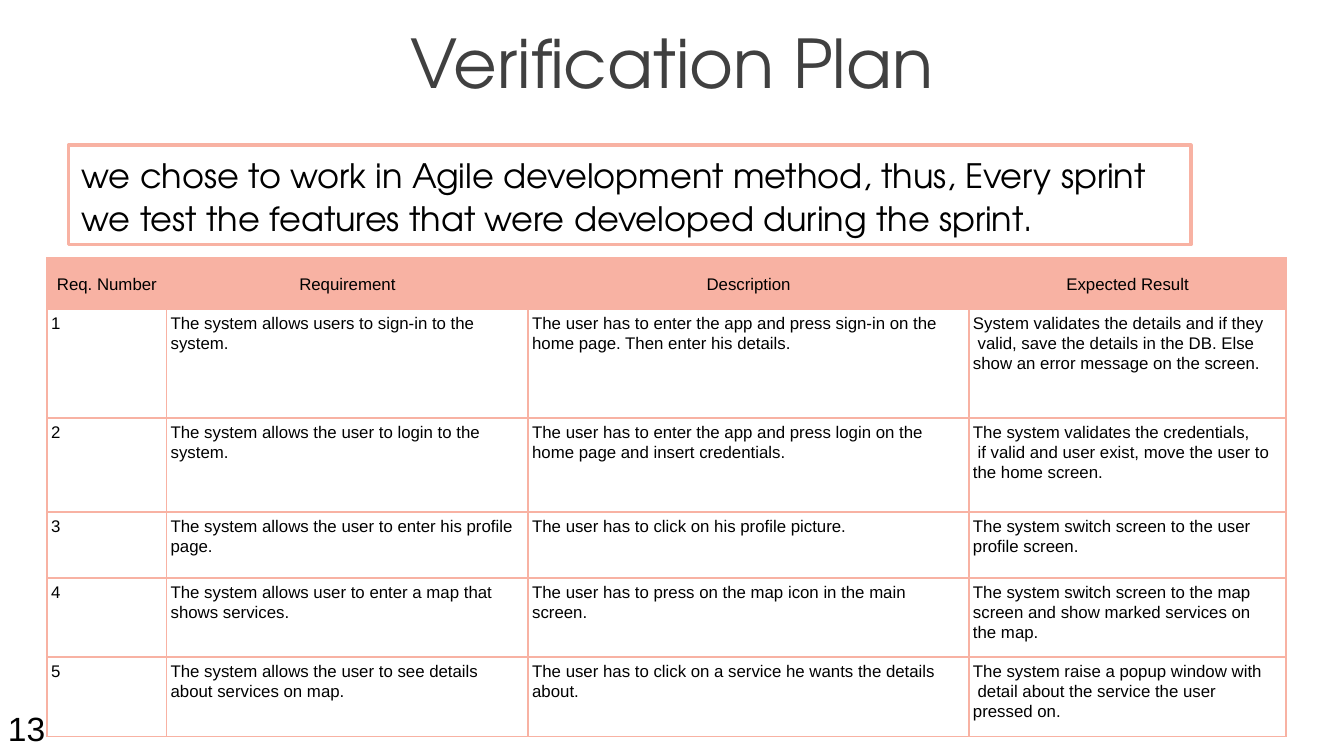
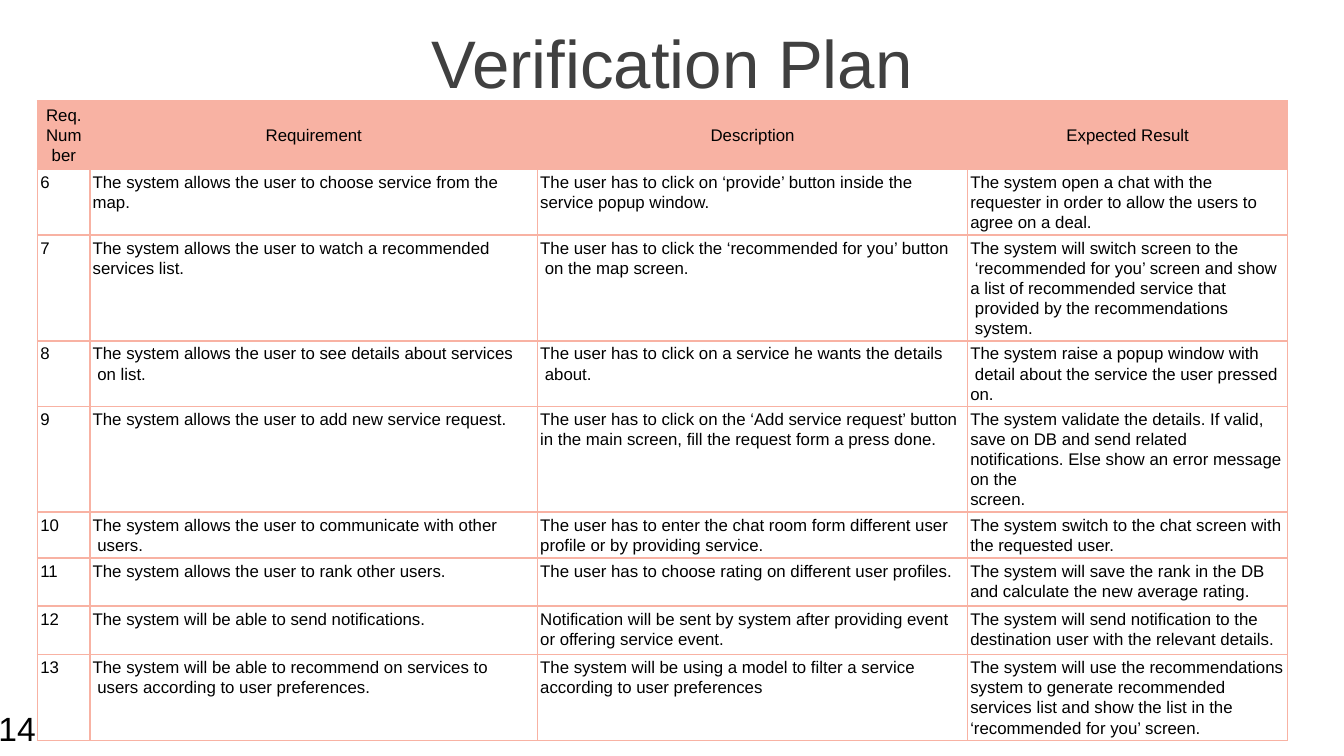
from dataclasses import dataclass
from typing import NamedTuple

from lxml.etree import SubElement
from pptx import Presentation
from pptx.dml.color import RGBColor
from pptx.enum.shapes import MSO_SHAPE
from pptx.enum.text import MSO_ANCHOR, MSO_AUTO_SIZE, PP_ALIGN
from pptx.oxml.ns import qn
from pptx.util import Emu, Pt

SCALE = 9144  # EMU per px, 100 px to the inch
ARIAL, GYRE = "Arial", "TeX Gyre Adventor"
COLORS = {"coral": "F8B2A3", "white": "FFFFFF", "black": "000000", "title": "404040"}
HEADS = ("Req. Number", "Requirement", "Description", "Expected Result")


class Box(NamedTuple):
    left: int
    top: int
    width: int
    height: int


class Font(NamedTuple):
    name: str
    size: int
    color: str = "black"


class Req(NamedTuple):
    need: str
    action: str
    result: str


@dataclass(frozen=True)
class Grid:
    left: int
    top: int
    cols: tuple[int, ...]
    rows: tuple[int, ...]
    inset: int
    first: int
    reqs: tuple[Req, ...]


@dataclass(frozen=True)
class Page:
    number: str
    left: int
    font: str
    grid: Grid
    note: str = ""


CELL = Font(ARIAL, 9)
TITLE = Box(0, 14, 1000, 63)
NOTE = Box(51, 108, 835, 74)

PAGES = (
    Page(
        "13", -4, GYRE,
        Grid(35, 192, (89, 269, 328, 236), (38, 81, 70, 49, 59, 59), 3, 1, (
            Req("The system allows users to sign-in to the\nsystem.",
                "The user has to enter the app and press sign-in on the\n"
                "home page. Then enter his details.",
                "System validates the details and if they\n valid, save the details "
                "in the DB. Else show an error message on the screen."),
            Req("The system allows the user to login to the\nsystem.",
                "The user has to enter the app and press login on the\n"
                "home page and insert credentials.",
                "The system validates the credentials,\n if valid and user exist, "
                "move the user to\nthe home screen."),
            Req("The system allows the user to enter his profile page.",
                "The user has to click on his profile picture.",
                "The system switch screen to the user\nprofile screen."),
            Req("The system allows user to enter a map that\nshows services.",
                "The user has to press on the map icon in the main\nscreen.",
                "The system switch screen to the map\nscreen and show marked "
                "services on\nthe map."),
            Req("The system allows the user to see details\nabout services on map.",
                "The user has to click on a service he wants the details\nabout.",
                "The system raise a popup window with\n detail about the service "
                "the user\npressed on."),
        )),
        "we chose to work in Agile development method, thus, Every sprint "
        "we test the features that were developed during the sprint.",
    ),
    Page(
        "14", -11, ARIAL,
        Grid(28, 75, (39, 333, 320, 238), (42, 42, 61, 36, 55, 30, 36, 36, 61), 2, 6, (
            Req("The system allows the user to choose service from the \nmap.",
                "The user has to click on ‘provide’ button inside the \n"
                "service popup window.",
                "The system open a chat with the requester in order to allow "
                "the users to agree on a deal."),
            Req("The system allows the user to watch a recommended \nservices list.",
                "The user has to click the ‘recommended for you’ button\n"
                " on the map screen.",
                "The system will switch screen to the\n ‘recommended for you’ screen "
                "and show a list of recommended service that\n provided by the "
                "recommendations\n system."),
            Req("The system allows the user to see details about services\n on list.",
                "The user has to click on a service he wants the details\n about.",
                "The system raise a popup window with\n detail about the service "
                "the user pressed on."),
            Req("The system allows the user to add new service request.",
                "The user has to click on the ‘Add service request’ button in the "
                "main screen, fill the request form a press done.",
                "The system validate the details. If valid, save on DB and send "
                "related notifications. Else show an error message on the \nscreen."),
            Req("The system allows the user to communicate with other\n users.",
                "The user has to enter the chat room form different user \n"
                "profile or by providing service.",
                "The system switch to the chat screen with the requested user."),
            Req("The system allows the user to rank other users.",
                "The user has to choose rating on different user profiles.",
                "The system will save the rank in the DB and calculate the new "
                "average rating."),
            Req("The system will be able to send notifications.",
                "Notification will be sent by system after providing event \n"
                "or offering service event.",
                "The system will send notification to the destination user with "
                "the relevant details."),
            Req("The system will be able to recommend on services to\n"
                " users according to user preferences.",
                "The system will be using a model to filter a service \n"
                "according to user preferences",
                "The system will use the recommendations system to generate "
                "recommended services list and show the list in the \n"
                "‘recommended for you’ screen."),
        )),
    ),
)


def px(count: int) -> Emu:
    return Emu(count * SCALE)


def place(box: Box) -> tuple[Emu, ...]:
    return tuple(px(side) for side in box)


def rgb(name: str) -> RGBColor:
    return RGBColor.from_string(COLORS[name])


def write(frame, text: str, font: Font, align=PP_ALIGN.LEFT):
    """Fill the first paragraph, one run to a line, and return it."""
    para = frame.paragraphs[0]
    para.alignment = align
    for index, line in enumerate(text.split("\n")):
        if index:
            para.add_line_break()
        run = para.add_run()
        run.text = line
        run.font.name = font.name
        run.font.size = Pt(font.size)
        run.font.color.rgb = rgb(font.color)
    return para


def loosen(para) -> None:
    para.line_spacing = 1.07
    para.space_after = Pt(8)


def edge(cell) -> None:
    """Draw a thin coral line on all four sides of a cell."""
    props = cell._tc.get_or_add_tcPr()
    for index, side in enumerate(("lnL", "lnR", "lnT", "lnB")):
        line = SubElement(props, qn(f"a:{side}"), w=str(Pt(1)))
        fill = SubElement(line, qn("a:solidFill"))
        SubElement(fill, qn("a:srgbClr"), val=COLORS["coral"])
        props.insert(index, line)


def add_title(slide, font: str) -> None:
    title = slide.shapes.title
    title.left, title.top, title.width, title.height = place(TITLE)
    frame = title.text_frame
    frame.auto_size = MSO_AUTO_SIZE.NONE
    frame.vertical_anchor = MSO_ANCHOR.MIDDLE
    para = write(frame, "Verification Plan", Font(font, 36, "title"), PP_ALIGN.CENTER)
    para.space_before = Pt(3)


def add_note(slide, text: str) -> None:
    note = slide.shapes.add_shape(MSO_SHAPE.RECTANGLE, *place(NOTE))
    note.shadow.inherit = False
    note.fill.solid()
    note.fill.fore_color.rgb = rgb("white")
    note.line.color.rgb = rgb("coral")
    note.line.width = Pt(2)
    frame = note.text_frame
    frame.word_wrap = True
    frame.auto_size = MSO_AUTO_SIZE.SHAPE_TO_FIT_TEXT
    frame.vertical_anchor = MSO_ANCHOR.TOP
    loosen(write(frame, text, Font(GYRE, 18)))


def fill_cell(cell, text: str, head: bool, inset: int) -> None:
    cell.margin_left = cell.margin_right = px(inset)
    cell.margin_top = cell.margin_bottom = px(inset)
    if head:
        cell.fill.solid()
        cell.fill.fore_color.rgb = rgb("coral")
    else:
        cell.fill.background()
    cell.vertical_anchor = MSO_ANCHOR.MIDDLE if head else MSO_ANCHOR.TOP
    align = PP_ALIGN.CENTER if head else PP_ALIGN.LEFT
    loosen(write(cell.text_frame, text, CELL, align))
    edge(cell)


def add_grid(slide, grid: Grid) -> None:
    box = Box(grid.left, grid.top, sum(grid.cols), sum(grid.rows))
    table = slide.shapes.add_table(len(grid.rows), len(grid.cols), *place(box)).table
    table.first_row = table.horz_banding = False
    for col, width in zip(table.columns, grid.cols):
        col.width = px(width)
    lines = [HEADS] + [(str(num), *req) for num, req in enumerate(grid.reqs, grid.first)]
    for index, (row, height, texts) in enumerate(zip(table.rows, grid.rows, lines)):
        row.height = px(height)
        for cell, text in zip(row.cells, texts):
            fill_cell(cell, text, index == 0, 3 if index == 0 else grid.inset)


def add_number(slide, text: str, left: int) -> None:
    frame = slide.shapes.add_textbox(*place(Box(left, 522, 55, 40))).text_frame
    frame.word_wrap = True
    frame.auto_size = MSO_AUTO_SIZE.SHAPE_TO_FIT_TEXT
    write(frame, text, Font(ARIAL, 18))


def main() -> None:
    deck = Presentation()
    deck.slide_width = px(1000)
    deck.slide_height = Emu(deck.slide_width * 9 // 16)
    for page in PAGES:
        slide = deck.slides.add_slide(deck.slide_layouts[5])
        add_title(slide, page.font)
        if page.note:
            add_note(slide, page.note)
        add_grid(slide, page.grid)
        add_number(slide, page.number, page.left)
    deck.save("out.pptx")


if __name__ == "__main__":
    main()
